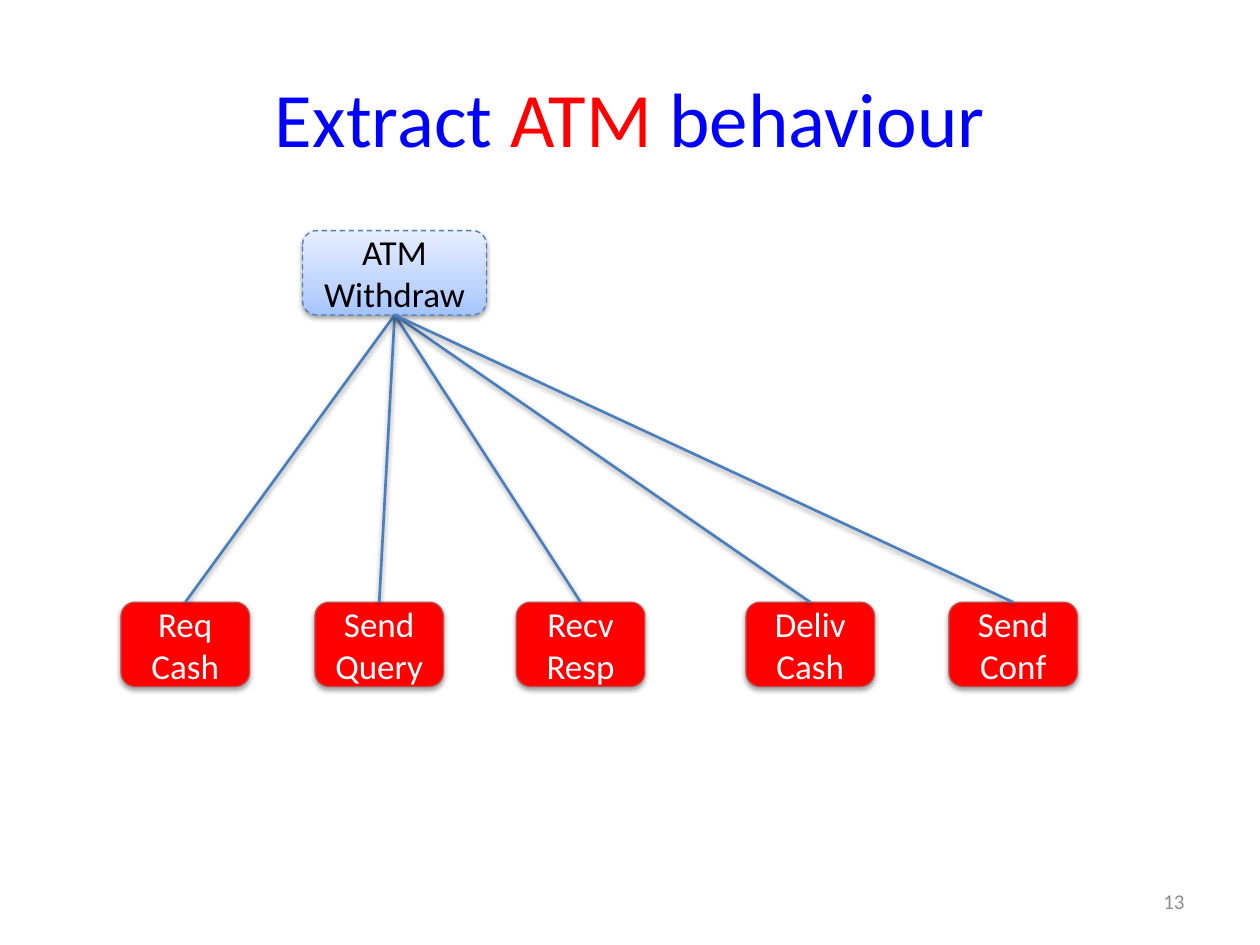
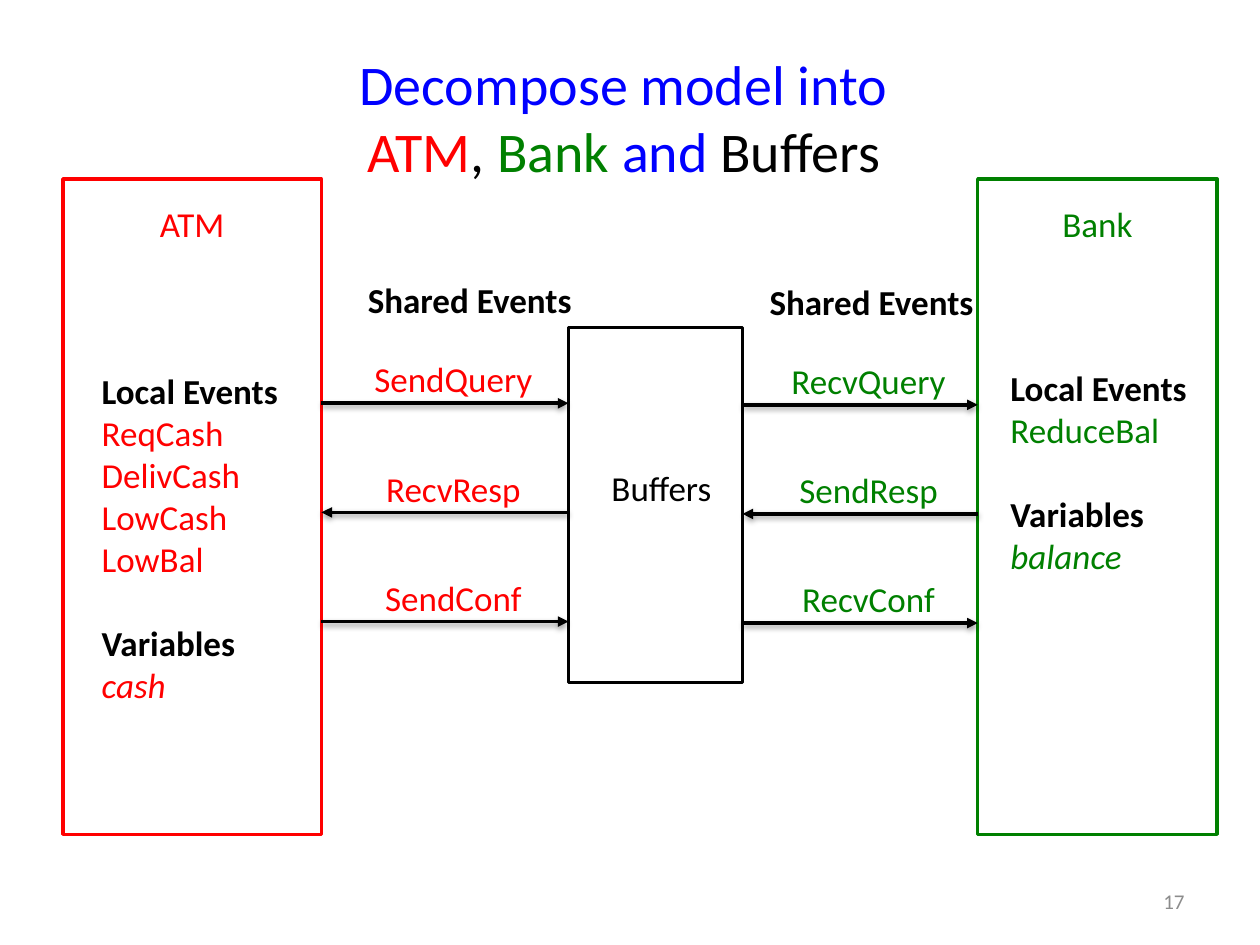
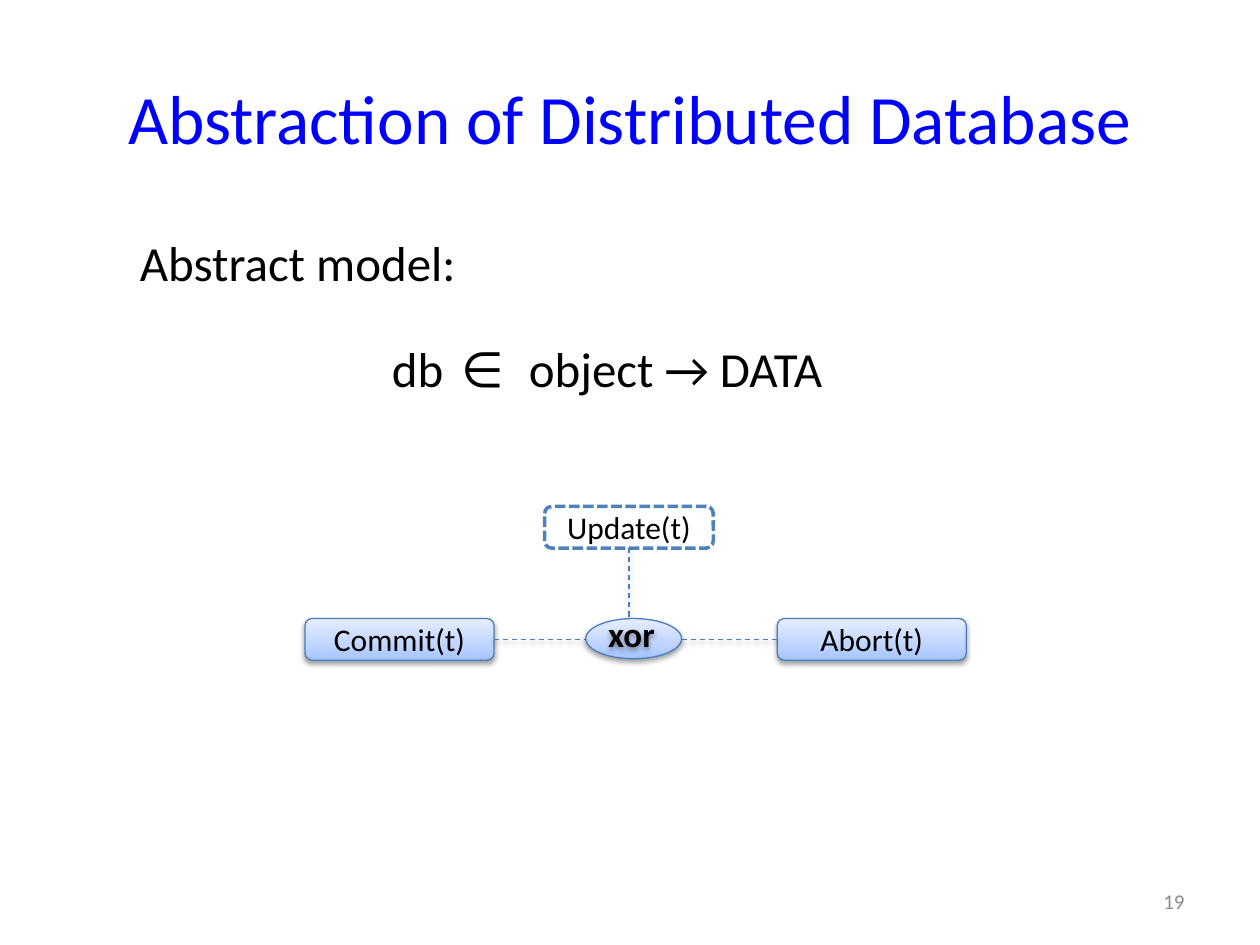
from lxml.etree import SubElement
from pptx import Presentation
from pptx.dml.color import RGBColor
from pptx.enum.dml import MSO_LINE as Dash
from pptx.enum.shapes import MSO_CONNECTOR as Conn, MSO_SHAPE as Geom
from pptx.enum.text import MSO_ANCHOR as Anchor, PP_ALIGN as Align
from pptx.oxml.ns import qn
from pptx.util import Cm, Pt

FONT = "Calibri"
COLOURS = {
    "blue": "0000FF", "red": "FF0000", "green": "008000",
    "black": "000000", "white": "FFFFFF", "grey": "8C8C8C",
    "edge": "4B7EBC", "red_edge": "BF4C48", "update_edge": "4F81BD",
}
GRADIENT = [(0, "A4C4FF"), (35, "BFD4FF"), (100, "E6EEFF")]
TITLE_BOX = (1.27, 0.76, 22.86, 3.18)
NUMBER_BOX = (18.21, 17.65, 5.92, 1.02)
LABEL_H = 1.12


def rgb(name):
    return RGBColor.from_string(COLOURS[name])


def add_run(p, text, size, colour, bold=False, italic=False):
    r = p.add_run()
    r.text = text
    r.font.name, r.font.size = FONT, Pt(size)
    r.font.bold, r.font.italic = bold, italic
    r.font.color.rgb = rgb(colour)
    return r


def add_line_of_text(tf, align=Align.LEFT):
    """Return the empty first paragraph, or a new one if it is taken."""
    p = tf.paragraphs[0] if not tf.paragraphs[0].runs else tf.add_paragraph()
    p.alignment = align
    return p


def add_text_box(slide, box, wrap=True, anchor=Anchor.TOP):
    s = slide.shapes.add_textbox(*map(Cm, box))
    s.text_frame.word_wrap = wrap
    s.text_frame.vertical_anchor = anchor
    return s


def add_label(slide, box, text, colour, bold=False):
    tf = add_text_box(slide, box, wrap=False).text_frame
    add_run(add_line_of_text(tf, Align.CENTER), text, 20, colour, bold)


def add_title(slide, runs, size):
    tf = add_text_box(slide, TITLE_BOX, anchor=Anchor.MIDDLE).text_frame
    p = add_line_of_text(tf, Align.CENTER)
    for text, colour in runs:
        if text == "\n":
            p.add_line_break()
        else:
            add_run(p, text, size, colour)


def add_number(slide, number):
    tf = add_text_box(slide, NUMBER_BOX, anchor=Anchor.MIDDLE).text_frame
    add_run(add_line_of_text(tf, Align.RIGHT), str(number), 12, "grey")


def set_shadow(s, shown=True):
    """Give a finished shape or connector a soft shadow below, or none."""
    effects = SubElement(s._element.spPr, qn("a:effectLst"))
    if shown:
        outer = SubElement(effects, qn("a:outerShdw"), blurRad="40000",
                           dist="20000", dir="5400000", rotWithShape="0")
        black = SubElement(outer, qn("a:srgbClr"), val=COLOURS["black"])
        SubElement(black, qn("a:alpha"), val="38000")


def set_gradient(s):
    s.fill.gradient()
    s.fill.gradient_angle = 90
    stops = s._element.spPr.find(".//" + qn("a:gsLst"))
    for stop in list(stops):
        stops.remove(stop)
    for percent, value in GRADIENT:
        stop = SubElement(stops, qn("a:gs"), pos=str(percent * 1000))
        SubElement(stop, qn("a:srgbClr"), val=value)


def add_node(slide, box, lines=(), geom=Geom.ROUNDED_RECTANGLE, fill="gradient",
             edge="edge", width=0.75, dash=None, size=20, colour="black",
             shadow=True):
    s = slide.shapes.add_shape(geom, *map(Cm, box))
    if fill == "gradient":
        set_gradient(s)
    elif fill:
        s.fill.solid()
        s.fill.fore_color.rgb = rgb(fill)
    else:
        s.fill.background()
    s.line.color.rgb = rgb(edge)
    s.line.width = Pt(width)
    if dash:
        s.line.dash_style = dash
    set_shadow(s, shadow)
    s.text_frame.vertical_anchor = Anchor.MIDDLE
    for text in lines:
        add_run(add_line_of_text(s.text_frame, Align.CENTER), text, size, colour)


def add_link(slide, start, end, colour="edge", width=0.75, dash=None, arrow=False):
    s = slide.shapes.add_connector(Conn.STRAIGHT, *map(Cm, start + end))
    s.line.color.rgb = rgb(colour)
    s.line.width = Pt(width)
    if dash:
        s.line.dash_style = dash
    if arrow:
        SubElement(s.line._get_or_add_ln(), qn("a:tailEnd"), type="triangle")
    set_shadow(s)


def event_tree(slide, box, root, leaves):
    """Root event above a row of leaves, given as (offset, lines)."""
    x, y, w, h = box
    node_h, root_w, leaf_w = 1.7, 3.71, 2.59
    root_x, leaf_y = x + 3.66, y + h - node_h
    add_node(slide, (root_x, y, root_w, node_h), root, dash=Dash.DASH)
    for offset, lines in leaves:
        add_node(slide, (x + offset, leaf_y, leaf_w, node_h), lines,
                 fill="red", edge="red_edge", colour="white")
    for offset, _ in leaves:
        add_link(slide, (x + offset + leaf_w / 2, leaf_y),
                 (root_x + root_w / 2, y + node_h), width=1.5)


def component(slide, box, name, colour, events, variable, lists_at):
    x, y, w, h = box
    add_node(slide, box, geom=Geom.RECTANGLE, fill=None, edge=colour, width=2,
             shadow=False)
    add_label(slide, (x, y + 0.35, w, LABEL_H), name, colour)
    dx, dy = lists_at
    tf = add_text_box(slide, (x + dx, y + dy, w - dx, h - dy)).text_frame
    add_run(add_line_of_text(tf), "Local Events", 20, "black", bold=True)
    for event in events:
        add_run(add_line_of_text(tf), event, 20, colour)
    p = add_line_of_text(tf)
    p.space_before = Pt(24)
    add_run(p, "Variables", 20, "black", bold=True)
    add_run(add_line_of_text(tf), variable, 20, colour, italic=True)


def channel(slide, box, colour, messages, heading_shift):
    """Shared events between two components, given as (name, goes right)."""
    x, y, w, h = box
    add_label(slide, (x + heading_shift, y, w, LABEL_H), "Shared Events", "black",
              bold=True)
    first, pitch = 1.6, 2.2
    for i, (name, goes_right) in enumerate(messages):
        top = y + first + i * pitch
        add_label(slide, (x + 0.17, top, w, LABEL_H), name, colour)
        ends = [(x, top + 1.04), (x + w, top + 1.04)]
        start, end = ends if goes_right else reversed(ends)
        add_link(slide, start, end, "black", 2, arrow=True)


def buffers(slide, box):
    x, y, w, h = box
    add_node(slide, box, geom=Geom.RECTANGLE, fill=None, edge="black", width=2,
             shadow=False)
    add_label(slide, (x + 0.12, y + 2.67, w, LABEL_H), "Buffers", "black")


def abstract_model(slide, box):
    tf = add_text_box(slide, box).text_frame
    p = add_line_of_text(tf)
    p.line_spacing = 0.9
    add_run(p, "Abstract model:", 28, "black")
    p = add_line_of_text(tf)
    p.line_spacing = 0.9
    p.space_before = Pt(30)
    pPr = p._p.get_or_add_pPr()
    pPr.set("marL", str(Cm(5.08)))
    pPr.set("indent", "0")
    add_run(p, "db", 28, "black")
    member = add_run(p, " ∈ ", 28, "black")
    member._r.get_or_add_rPr().set("spc", "400")
    add_run(p, "object → DATA", 28, "black")


def choice_tree(slide, box):
    """Update(t) split by xor into Commit(t) and Abort(t)."""
    x, y, w, h = box
    node_w, node_h, update_w = 3.81, 0.84, 3.4
    xor_x, xor_w, xor_h = x + 5.66, 1.93, 0.81
    row = y + h - node_h
    mid, stem = row + node_h / 2, x + 4.83 + update_w / 2
    add_node(slide, (x, row, node_w, node_h), ["Commit(t)"], size=18)
    add_node(slide, (x + w - node_w, row, node_w, node_h), ["Abort(t)"], size=18)
    add_node(slide, (stem - update_w / 2, y, update_w, node_h), ["Update(t)"],
             fill="white", edge="update_edge", width=2, dash=Dash.SQUARE_DOT,
             size=18, shadow=False)
    for start, end in [((x + node_w, mid), (xor_x, mid)),
                       ((xor_x + xor_w, mid), (x + w - node_w, mid)),
                       ((stem, y + node_h), (stem, row))]:
        add_link(slide, start, end, dash=Dash.DASH)
    add_node(slide, (xor_x, row, xor_w, xor_h), geom=Geom.OVAL)
    s = add_text_box(slide, (xor_x + 0.2, row - 0.25, 2.18, LABEL_H))
    add_run(add_line_of_text(s.text_frame), "xor", 20, "black", bold=True)
    set_shadow(s)


def behaviour_slide(slide):
    add_title(slide, [("Extract ", "blue"), ("ATM ", "red"),
                      ("behaviour", "blue")], 44)
    event_tree(slide, (2.44, 4.65, 19.28, 9.19), ["ATM", "Withdraw"], [
        (0, ["Req", "Cash"]), (3.91, ["Send Query"]), (7.97, ["Recv Resp"]),
        (12.6, ["Deliv", "Cash"]), (16.69, ["Send Conf"])])
    add_number(slide, 13)


def decomposition_slide(slide):
    top, height = 3.61, 13.21
    component(slide, (1.27, top, 5.21, height), "ATM", "red",
              ["ReqCash", "DelivCash", "LowCash", "LowBal"], "cash", (0.53, 3.71))
    component(slide, (19.71, top, 4.83, height), "Bank", "green",
              ["ReduceBal"], "balance", (0.41, 3.66))
    buffers(slide, (11.46, 6.6, 3.51, 7.16))
    add_title(slide, [("Decompose model into ", "blue"), ("\n", None),
                      ("ATM", "red"), (", ", "black"), ("Bank ", "green"),
                      ("and ", "blue"), ("Buffers ", "black")], 32)
    channel(slide, (6.48, 5.49, 4.98, 7.1), "red",
            [("SendQuery", True), ("RecvResp", False), ("SendConf", True)], 0.5)
    channel(slide, (14.97, 5.52, 4.74, 7.1), "green",
            [("RecvQuery", True), ("SendResp", False), ("RecvConf", True)], 0.23)
    add_number(slide, 17)


def database_slide(slide):
    add_title(slide, [("Abstraction of Distributed Database", "blue")], 39.6)
    abstract_model(slide, (2.57, 4.7, 14.53, 3.51))
    choice_tree(slide, (6.15, 10.21, 13.33, 3.1))
    add_number(slide, 19)


def main():
    prs = Presentation()
    prs.slide_width, prs.slide_height = Cm(25.4), Cm(19.05)
    for build in (behaviour_slide, decomposition_slide, database_slide):
        build(prs.slides.add_slide(prs.slide_layouts[6]))
    prs.save("out.pptx")


if __name__ == "__main__":
    main()
